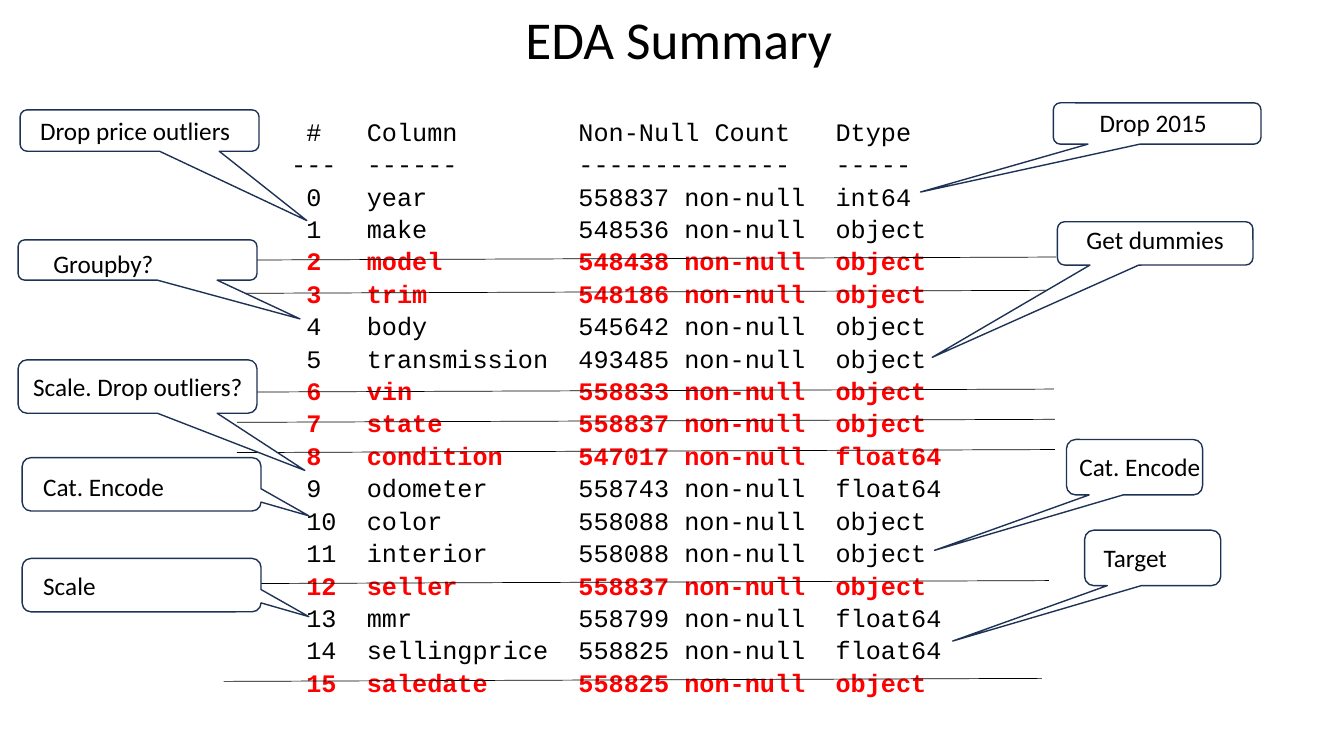
from dataclasses import dataclass
from typing import NamedTuple

from lxml.etree import SubElement
from pptx import Presentation
from pptx.dml.color import RGBColor
from pptx.enum.shapes import MSO_CONNECTOR, MSO_SHAPE
from pptx.enum.text import MSO_AUTO_SIZE, PP_ALIGN
from pptx.oxml.ns import qn
from pptx.util import Inches, Pt

# The slide is a grid of square cells, ten to the inch.
CELL = Inches(0.1)
COLS, ROWS = 133.33, 75
COLORS = {"ink": "000000", "drop": "FF0000", "paper": "FFFFFF", "outline": "1E3256"}
BODY_FONT, CODE_FONT = "Calibri", "Courier New"
LABEL_HEIGHT = 4
STRIKE_WIDTH, STRIKE_RISE = 81.15, 0.3


class Box(NamedTuple):
    col: float
    row: float
    cols: float
    rows: float


class Strike(NamedTuple):
    col: float
    row: float


class Field(NamedTuple):
    mark: str
    column: str
    count: str
    dtype: str
    dropped: bool = False


@dataclass
class Callout:
    text: str
    bubble: Box
    tip: tuple[float, float]
    label: Box


HEADER = [
    Field("#", "Column", "Non-Null Count", "Dtype"),
    Field("---", "------", "--------------", "-----"),
]
COLUMNS = [
    ("year", 558837, "int64"),
    ("make", 548536, "object"),
    ("model", 548438, "object"),
    ("trim", 548186, "object"),
    ("body", 545642, "object"),
    ("transmission", 493485, "object"),
    ("vin", 558833, "object"),
    ("state", 558837, "object"),
    ("condition", 547017, "float64"),
    ("odometer", 558743, "float64"),
    ("color", 558088, "object"),
    ("interior", 558088, "object"),
    ("seller", 558837, "object"),
    ("mmr", 558799, "float64"),
    ("sellingprice", 558825, "float64"),
    ("saledate", 558825, "object"),
]
DROPPED = {2, 3, 6, 7, 8, 12, 15}
FIELDS = HEADER + [
    Field(str(i), name, f"{count} non-null", dtype, i in DROPPED)
    for i, (name, count, dtype) in enumerate(COLUMNS)
]
STRIKES = [
    Strike(23.6, 25.8), Strike(23.6, 29.1), Strike(23.4, 38.9), Strike(23.5, 41.9),
    Strike(23.5, 44.9), Strike(22.9, 57.9), Strike(22.2, 67.6),
]
CALLOUTS = [
    Callout("Drop 2015", Box(104.5, 10.2, 20.6, 4.1), (-1.14, 1.66),
            Box(108.1, 10.2, 17.2, LABEL_HEIGHT)),
    Callout("Drop price outliers", Box(2, 10.9, 23.7, 4.1), (0.7, 2.18),
            Box(3, 10.9, 23.7, LABEL_HEIGHT)),
    Callout("Get dummies", Box(104.9, 22, 19.4, 4.3), (-1.14, 2.63),
            Box(106.8, 21.8, 17.2, LABEL_HEIGHT)),
    Callout("Cat. Encode", Box(105.8, 43.6, 13.5, 5.5), (-1.47, 1.5),
            Box(106.1, 44.3, 17.2, LABEL_HEIGHT)),
    Callout("Groupby?", Box(1.8, 23.8, 23.7, 4), (0.68, 1.46),
            Box(4.3, 24.1, 21.2, LABEL_HEIGHT)),
    Callout("Cat. Encode", Box(2.2, 45.4, 23.7, 5.3), (0.7, 0.59),
            Box(3.3, 46.3, 17.2, LABEL_HEIGHT)),
    Callout("Scale", Box(2.2, 55.4, 23.7, 5.3), (0.7, 0.59),
            Box(3.3, 56.1, 17.2, LABEL_HEIGHT)),
    Callout("Target", Box(107.6, 52.6, 13.5, 5.5), (-1.47, 1.5),
            Box(108.5, 53.3, 17.2, LABEL_HEIGHT)),
    Callout("Scale. Drop outliers?", Box(1.8, 35.7, 23.7, 5.3), (0.7, 1.57),
            Box(2.3, 36.3, 25.4, LABEL_HEIGHT)),
]


def cells(*counts: float) -> list[int]:
    """Turn counts of grid cells into slide lengths."""
    return [round(n * CELL) for n in counts]


def rgb(name: str) -> RGBColor:
    return RGBColor.from_string(COLORS[name])


def style_run(r, size: float, font: str, color: str = "ink", bold: bool = False) -> None:
    r.font.size = Pt(size)
    r.font.name = font
    r.font.bold = bold
    r.font.color.rgb = rgb(color)


def add_text_frame(s, box: Box):
    tf = s.shapes.add_textbox(*cells(*box)).text_frame
    tf.word_wrap = True
    tf.auto_size = MSO_AUTO_SIZE.SHAPE_TO_FIT_TEXT
    return tf


def add_label(s, text: str, box: Box, size: float = 18, align=PP_ALIGN.LEFT) -> None:
    tf = add_text_frame(s, box)
    tf.text = text
    p = tf.paragraphs[0]
    p.alignment = align
    style_run(p.runs[0], size, BODY_FONT)


def add_listing(s, fields: list[Field], box: Box) -> None:
    """Write the fields as one monospaced listing, dropped ones bold red."""
    tf = add_text_frame(s, box)
    for i, field in enumerate(fields):
        p = tf.paragraphs[0] if i == 0 else tf.add_paragraph()
        p.line_spacing = Pt(23.15)
        mark = field.mark if len(field.mark) == 3 else f" {field.mark}"
        line = f"{mark:<5}{field.column:<14}{field.count:<17}{field.dtype}"
        p.text = line[0] if field.dropped else line
        style_run(p.runs[0], 18, CODE_FONT)
        if field.dropped:
            r = p.add_run()
            r.text = line[1:]
            style_run(r, 18, CODE_FONT, "drop", True)


def add_strike(s, strike: Strike) -> None:
    ends = cells(strike.col, strike.row,
                 strike.col + STRIKE_WIDTH, strike.row - STRIKE_RISE)
    sp = s.shapes.add_connector(MSO_CONNECTOR.STRAIGHT, *ends)
    sp.line.color.rgb = rgb("ink")
    sp.line.width = Pt(0.5)
    SubElement(sp._element.spPr, qn("a:effectLst"))


def add_callout(s, callout: Callout) -> None:
    sp = s.shapes.add_shape(MSO_SHAPE.ROUNDED_RECTANGULAR_CALLOUT, *cells(*callout.bubble))
    sp.adjustments[0], sp.adjustments[1] = callout.tip
    sp.shadow.inherit = False
    sp.fill.solid()
    sp.fill.fore_color.rgb = rgb("paper")
    sp.line.color.rgb = rgb("outline")
    sp.line.width = Pt(1)
    add_label(s, callout.text, callout.label)


def main() -> None:
    prs = Presentation()
    prs.slide_width, prs.slide_height = cells(COLS, ROWS)
    s = prs.slides.add_slide(prs.slide_layouts[6])
    add_label(s, "EDA Summary", Box(6.3, 0.1, 122.1, 12.8), 38, PP_ALIGN.CENTER)
    add_listing(s, FIELDS, Box(27.9, 10.8, 72.5, 59.3))
    for strike in STRIKES:
        add_strike(s, strike)
    for callout in CALLOUTS:
        add_callout(s, callout)
    prs.save("out.pptx")


if __name__ == "__main__":
    main()
